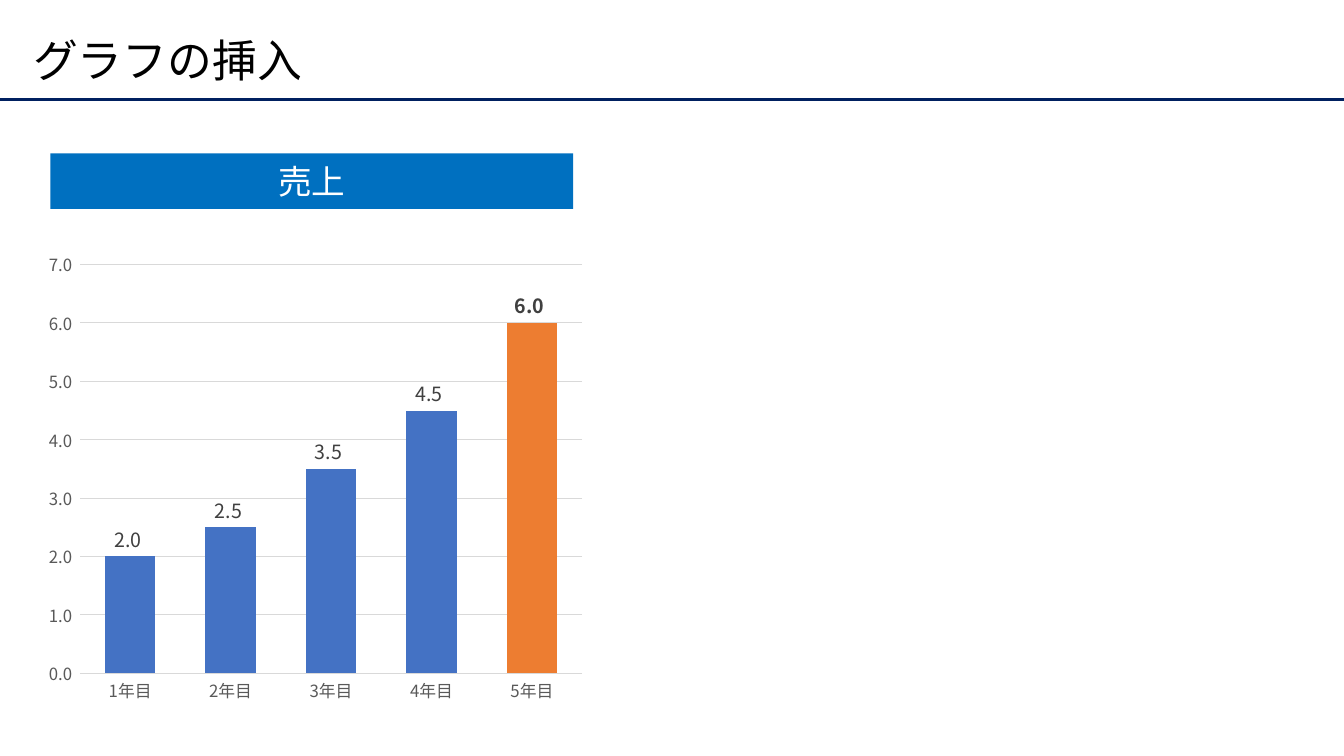
from dataclasses import dataclass

from lxml import etree
from pptx import Presentation
from pptx import util as u
from pptx.chart.data import CategoryChartData
from pptx.dml.color import RGBColor
from pptx.enum import chart as charts, shapes, text
from pptx.oxml import ns

EMU_PER_PX = 9525
FONT = "Noto Sans CJK JP"
NUMBER_FORMAT = r"0.0_);[Red]\(0.0\)"

BLACK = RGBColor(0x00, 0x00, 0x00)
WHITE = RGBColor(0xFF, 0xFF, 0xFF)
NAVY = RGBColor(0x00, 0x20, 0x60)
BANNER_BLUE = RGBColor(0x00, 0x70, 0xC0)
BAR_BLUE = RGBColor(0x44, 0x72, 0xC4)
HIGHLIGHT = RGBColor(0xED, 0x7D, 0x31)
AXIS_TEXT = RGBColor(0x59, 0x59, 0x59)
LABEL_TEXT = RGBColor(0x40, 0x40, 0x40)
GRID = RGBColor(0xD9, 0xD9, 0xD9)

SALES = {"1年目": 2.0, "2年目": 2.5, "3年目": 3.5, "4年目": 4.5, "5年目": 6.0}


@dataclass(frozen=True)
class Area:
    left: int
    top: int
    width: int
    height: int

    def emu(self) -> tuple[int, ...]:
        return tuple(px(n) for n in (self.left, self.top, self.width, self.height))


@dataclass(frozen=True)
class Heading:
    wording: str
    area: Area
    size: int
    color: RGBColor
    align: text.PP_ALIGN
    fill: RGBColor | None = None
    line_spacing: float = 1.0


HEADINGS = (
    Heading("グラフの挿入", Area(22, 19, 1210, 81), 32, BLACK, text.PP_ALIGN.LEFT, line_spacing=0.9),
    Heading("売上", Area(48, 146, 498, 53), 24, WHITE, text.PP_ALIGN.CENTER, fill=BANNER_BLUE),
)
CHART_AREA = Area(36, 231, 529, 447)
SLIDE_WIDTH, SLIDE_HEIGHT = 1280, 720
RULE_Y = 95


def px(length: int) -> int:
    return length * EMU_PER_PX


def style_font(font, size: int, color: RGBColor, bold: bool = False) -> None:
    font.name = FONT
    font.size = u.Pt(size)
    font.bold = bold
    font.color.rgb = color


def add_east_asian_fonts(element) -> None:
    """Apply the Latin typeface to Japanese characters as well."""
    for latin in list(element.iter(ns.qn("a:latin"))):
        east_asian = etree.Element(ns.qn("a:ea"))
        east_asian.set("typeface", FONT)
        latin.addnext(east_asian)


def add_title_rule(page) -> None:
    rule = page.shapes.add_connector(
        shapes.MSO_CONNECTOR.STRAIGHT, 0, px(RULE_Y), px(SLIDE_WIDTH), px(RULE_Y)
    )
    rule.line.color.rgb = NAVY
    rule.line.width = u.Pt(2.25)
    etree.SubElement(rule.element.spPr, ns.qn("a:effectLst"))


def add_heading(page, heading: Heading) -> None:
    if heading.fill is None:
        box = page.shapes.add_textbox(*heading.area.emu())
    else:
        box = page.shapes.add_shape(shapes.MSO_SHAPE.RECTANGLE, *heading.area.emu())
        box.shadow.inherit = False
        box.fill.solid()
        box.fill.fore_color.rgb = heading.fill
        box.line.fill.background()
    frame = box.text_frame
    frame.text = heading.wording
    frame.word_wrap = True
    frame.vertical_anchor = text.MSO_ANCHOR.MIDDLE
    para = frame.paragraphs[0]
    para.alignment = heading.align
    para.line_spacing = heading.line_spacing
    style_font(para.runs[0].font, heading.size, heading.color)
    add_east_asian_fonts(box.element)


def style_axes(chart) -> None:
    for axis in (chart.category_axis, chart.value_axis):
        axis.major_tick_mark = charts.XL_TICK_MARK.NONE
        axis.minor_tick_mark = charts.XL_TICK_MARK.NONE
        style_font(axis.tick_labels.font, 12, AXIS_TEXT)
    values = chart.value_axis
    values.minimum_scale, values.maximum_scale, values.major_unit = 0, 7, 1
    values.tick_labels.number_format = NUMBER_FORMAT
    values.tick_labels.number_format_is_linked = False
    values.format.line.fill.background()
    for line in (chart.category_axis.format.line, values.major_gridlines.format.line):
        line.color.rgb = GRID
        line.width = u.Pt(0.75)


def style_bars(plot) -> None:
    """Color the bars and emphasize the last one with its label."""
    plot.gap_width = 100
    plot.overlap = -27
    plot.vary_by_categories = False
    series = plot.series[0]
    last = series.points[len(SALES) - 1]
    for bar, color in ((series, BAR_BLUE), (last, HIGHLIGHT)):
        bar.format.fill.solid()
        bar.format.fill.fore_color.rgb = color
    labels = series.data_labels
    labels.show_value = True
    labels.number_format = NUMBER_FORMAT
    labels.number_format_is_linked = False
    for label, bold in ((labels, False), (last.data_label, True)):
        style_font(label.font, 14, LABEL_TEXT, bold)
        label.position = charts.XL_LABEL_POSITION.OUTSIDE_END


def add_sales_chart(page) -> None:
    data = CategoryChartData(number_format=NUMBER_FORMAT)
    data.categories = list(SALES)
    data.add_series("Series 1", list(SALES.values()))
    chart = page.shapes.add_chart(
        charts.XL_CHART_TYPE.COLUMN_CLUSTERED, *CHART_AREA.emu(), data
    ).chart
    chart.has_title = False
    chart.has_legend = False
    style_font(chart.font, 10, BLACK)
    style_axes(chart)
    style_bars(chart.plots[0])
    add_east_asian_fonts(chart.element)


def main() -> None:
    deck = Presentation()
    deck.slide_width, deck.slide_height = px(SLIDE_WIDTH), px(SLIDE_HEIGHT)
    page = deck.slides.add_slide(deck.slide_layouts[6])
    add_title_rule(page)
    add_sales_chart(page)
    for heading in HEADINGS:
        add_heading(page, heading)
    deck.save("out.pptx")


if __name__ == "__main__":
    main()
